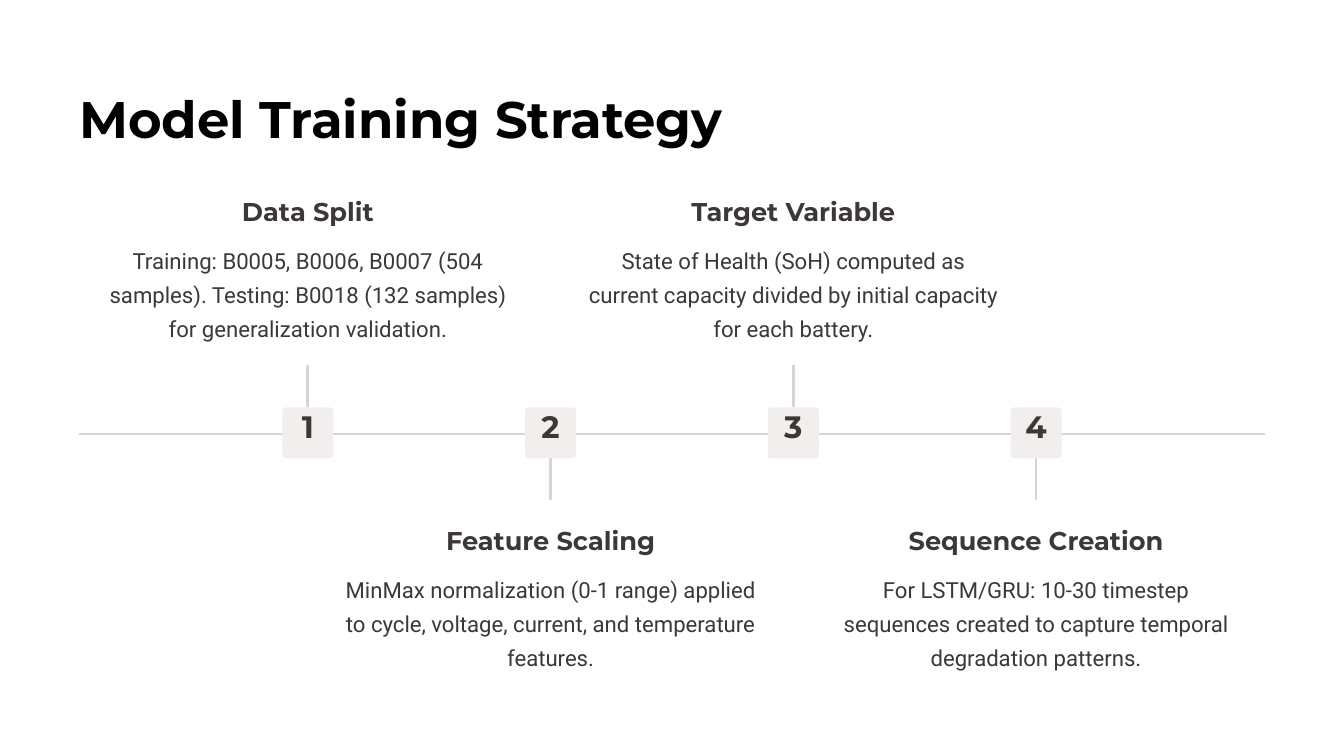
"""Build the model training strategy timeline slide."""
from dataclasses import dataclass

from lxml import etree
from pptx import Presentation
from pptx import util as u
from pptx.dml.color import RGBColor
from pptx.enum import shapes, text
from pptx.oxml.ns import qn
from pptx.shapes.autoshape import Shape
from pptx.shapes.connector import Connector
from pptx.slide import Slide
from pptx.text.text import TextFrame


@dataclass(frozen=True)
class TextStyle:
    font: str
    size: float
    leading: float
    color: str
    bold: bool = True
    align: text.PP_ALIGN = text.PP_ALIGN.CENTER


@dataclass(frozen=True)
class Theme:
    background: str = "FFFFFF"
    line: str = "D8D4D4"
    marker: str = "F2EEEE"
    title: TextStyle = TextStyle("Montserrat", 44, 55, "000000", align=text.PP_ALIGN.LEFT)
    number: TextStyle = TextStyle("Montserrat", 26.5, 26.5, "3D3838")
    heading: TextStyle = TextStyle("Montserrat", 22, 27.5, "3D3838")
    body: TextStyle = TextStyle("Roboto", 19, 29, "3D3838", bold=False)


@dataclass(frozen=True)
class Step:
    heading: str
    body: str


THEME = Theme()
STEPS = (
    Step("Data Split", "Training: B0005, B0006, B0007 (504 samples). "
         "Testing: B0018 (132 samples) for generalization validation."),
    Step("Feature Scaling", "MinMax normalization (0-1 range) applied to cycle, "
         "voltage, current, and temperature features."),
    Step("Target Variable", "State of Health (SoH) computed as current capacity "
         "divided by initial capacity for each battery."),
    Step("Sequence Creation", "For LSTM/GRU: 10-30 timestep sequences created to "
         "capture temporal degradation patterns."),
)
SLIDE_WIDTH, SLIDE_HEIGHT = 1152, 648
LEFT, RIGHT = 68, 1084
RAIL_Y = 372
FIRST_CENTER, STEP_GAP = 263.9, 208.05
MARKER_TOP, MARKER_SIZE = 349.2, 43.7
NUMBER_INSET = 5
STEM = 36
LINE_WIDTH = 2.5
HEADING_WIDTH, HEADING_HEIGHT = 221, 27.4
BODY_WIDTH, BODY_HEIGHT = 352.8, 87.1
BODY_OFFSET = 39.4
UPPER_TOP, LOWER_TOP = 166.6, 448.7


def write(frame: TextFrame, words: str, style: TextStyle, wrap: bool, inset: float = 0) -> None:
    """Fill a text frame with one styled run."""
    frame.margin_left = frame.margin_right = frame.margin_bottom = 0
    frame.margin_top = u.Pt(inset)
    frame.vertical_anchor = text.MSO_ANCHOR.TOP
    frame.word_wrap = wrap
    paragraph = frame.paragraphs[0]
    paragraph.alignment = style.align
    paragraph.line_spacing = u.Pt(style.leading)
    run = paragraph.add_run()
    run.text = words
    run.font.name = style.font
    run.font.size = u.Pt(style.size)
    run.font.bold = style.bold
    run.font.color.rgb = RGBColor.from_string(style.color)


def add_label(slide: Slide, left: float, top: float, width: float, height: float,
              words: str, style: TextStyle, wrap: bool = False) -> None:
    """Add a text box."""
    label = slide.shapes.add_textbox(u.Pt(left), u.Pt(top), u.Pt(width), u.Pt(height))
    write(label.text_frame, words, style, wrap)


def add_line(slide: Slide, x1: float, y1: float, x2: float, y2: float) -> Connector:
    """Add a plain timeline line."""
    line = slide.shapes.add_connector(
        shapes.MSO_CONNECTOR.STRAIGHT, u.Pt(x1), u.Pt(y1), u.Pt(x2), u.Pt(y2))
    line.line.width = u.Pt(LINE_WIDTH)
    line.line.color.rgb = RGBColor.from_string(THEME.line)
    etree.SubElement(line._element.spPr, qn("a:effectLst"))
    return line


def add_panel(slide: Slide, kind: shapes.MSO_SHAPE, left: float, top: float,
              width: float, height: float, color: str) -> Shape:
    """Add a filled shape without outline or shadow."""
    panel = slide.shapes.add_shape(kind, u.Pt(left), u.Pt(top), u.Pt(width), u.Pt(height))
    panel.shadow.inherit = False
    panel.fill.solid()
    panel.fill.fore_color.rgb = RGBColor.from_string(color)
    panel.line.fill.background()
    return panel


def add_marker(slide: Slide, center: float, number: int) -> Shape:
    """Add a numbered rounded square on the rail."""
    marker = add_panel(slide, shapes.MSO_SHAPE.ROUNDED_RECTANGLE, center - MARKER_SIZE / 2,
                       MARKER_TOP, MARKER_SIZE, MARKER_SIZE, THEME.marker)
    marker.adjustments[0] = 0.07
    write(marker.text_frame, str(number), THEME.number, False, NUMBER_INSET)
    return marker


def add_step(slide: Slide, index: int, step: Step) -> None:
    """Add one step, above the rail for even indexes and below for odd ones."""
    above = index % 2 == 0
    center = FIRST_CENTER + index * STEP_GAP
    marker = add_marker(slide, center, index + 1)
    start = MARKER_TOP if above else MARKER_TOP + MARKER_SIZE
    stem = add_line(slide, center, start, center, start - STEM if above else start + STEM)
    stem.begin_connect(marker, 0 if above else 2)
    top = UPPER_TOP if above else LOWER_TOP
    add_label(slide, center - HEADING_WIDTH / 2, top, HEADING_WIDTH, HEADING_HEIGHT,
              step.heading, THEME.heading)
    add_label(slide, center - BODY_WIDTH / 2, top + BODY_OFFSET, BODY_WIDTH, BODY_HEIGHT,
              step.body, THEME.body, wrap=True)


def main() -> None:
    """Build and save the slide."""
    deck = Presentation()
    deck.slide_width, deck.slide_height = u.Pt(SLIDE_WIDTH), u.Pt(SLIDE_HEIGHT)
    slide = deck.slides.add_slide(deck.slide_layouts[6])
    add_panel(slide, shapes.MSO_SHAPE.RECTANGLE, 0, 0, SLIDE_WIDTH, SLIDE_HEIGHT,
              THEME.background)
    add_label(slide, LEFT, 72.7, 553.7, 55.4, "Model Training Strategy", THEME.title)
    add_line(slide, LEFT, RAIL_Y, RIGHT, RAIL_Y)
    for index, step in enumerate(STEPS):
        add_step(slide, index, step)
    deck.save("out.pptx")


if __name__ == "__main__":
    main()
